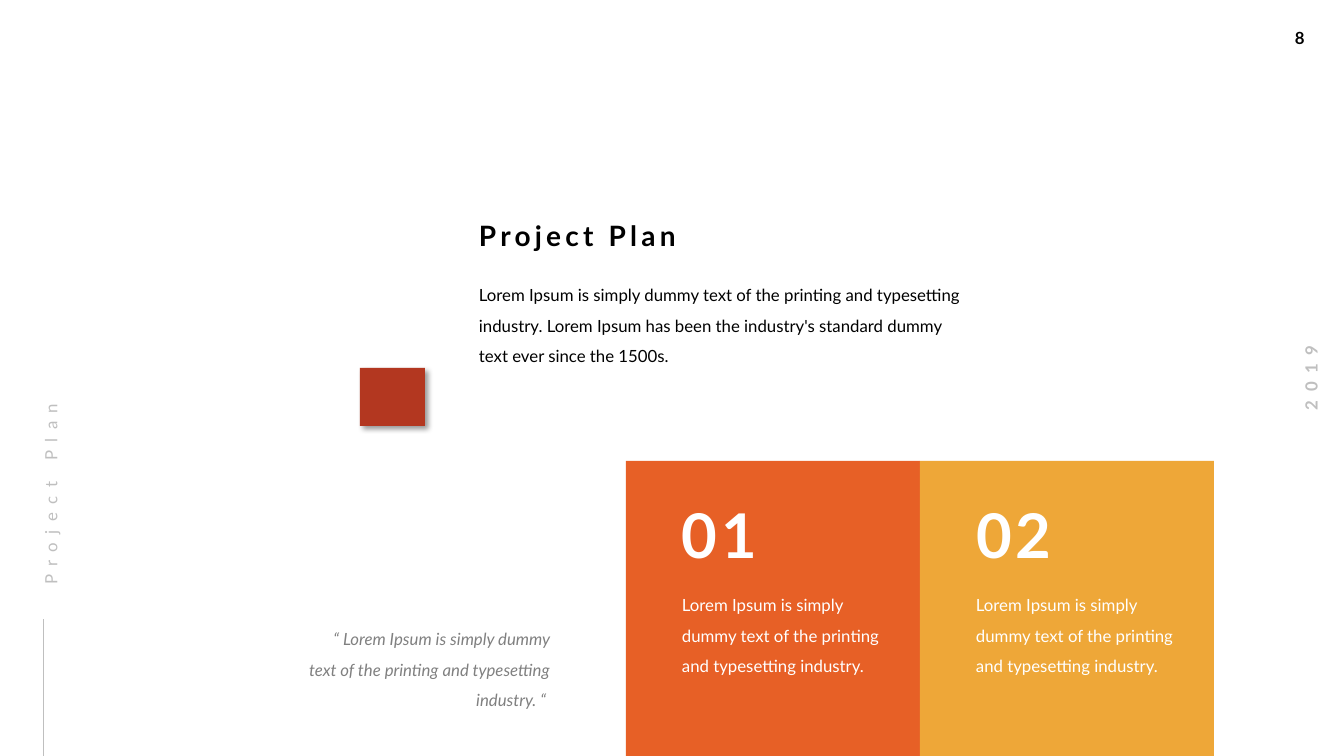
from lxml import etree
from pptx import Presentation
from pptx.dml.color import RGBColor
from pptx.enum.shapes import MSO_CONNECTOR, MSO_SHAPE
from pptx.enum.text import MSO_AUTO_SIZE, PP_ALIGN
from pptx.oxml.ns import qn
from pptx.util import Emu, Pt

LEFT, CENTER, RIGHT = PP_ALIGN.LEFT, PP_ALIGN.CENTER, PP_ALIGN.RIGHT
RECTANGLE = MSO_SHAPE.RECTANGLE
STRAIGHT = MSO_CONNECTOR.STRAIGHT
GROW = MSO_AUTO_SIZE.SHAPE_TO_FIT_TEXT

PX = 914400 / 100.8  # EMU in one pixel
BLACK, WHITE, SILVER, GRAY = "000000", "FFFFFF", "BFBFBF", "808080"
ORANGE, AMBER, RED = "E76026", "EEA738", "B33720"

presentation = Presentation()
presentation.slide_width = Emu(round(1344 * PX))
presentation.slide_height = Emu(round(756 * PX))
slide = presentation.slides.add_slide(presentation.slide_layouts[6])


def add_text(box, text, color, size=12, bold=False, italic=False, spacing=0,
             align=LEFT, leading=1, rotation=0, inset=True, wrap=True):
    shape = slide.shapes.add_textbox(*[Emu(round(value * PX)) for value in box])
    shape.rotation = rotation
    frame = shape.text_frame
    frame.word_wrap = wrap
    frame.auto_size = GROW
    if not inset:
        frame.margin_left = frame.margin_top = frame.margin_bottom = 0
    paragraph = frame.paragraphs[0]
    paragraph.alignment = align
    paragraph.line_spacing = leading
    run = paragraph.add_run()
    run.text = text
    run.font.name = "Lato"
    run.font.size = Pt(size)
    run.font.bold = bold
    run.font.italic = italic
    run.font.color.rgb = RGBColor.from_string(color)
    if spacing:
        run.font._element.set("spc", str(spacing * 100))


def add_rectangle(box, color):
    shape = slide.shapes.add_shape(RECTANGLE, *[Emu(round(value * PX)) for value in box])
    shape.fill.solid()
    shape.fill.fore_color.rgb = RGBColor.from_string(color)
    shape.line.fill.background()
    shape.shadow.inherit = False
    return shape


# Page number and year
add_text((1285, 23, 41, 30), "8", BLACK, bold=True, wrap=False)
add_text((1264, 363, 94, 30), "2019", SILVER, bold=True, spacing=6,
         align=CENTER, rotation=270, wrap=False)

# Heading and introduction
add_text((479, 219, 353, 34), "Project Plan", BLACK, size=20, bold=True,
         spacing=3, inset=False)
add_text((479, 275, 496, 88),
         "Lorem Ipsum is simply dummy text of the printing and typesetting industry. "
         "Lorem Ipsum has been the industry's standard dummy text ever since the 1500s.",
         BLACK, leading=1.5, inset=False)

# Side label with its rule
rule_x = Emu(round(43 * PX))
rule = slide.shapes.add_connector(STRAIGHT, rule_x, Emu(round(756 * PX)),
                                  rule_x, Emu(round(619 * PX)))
rule.line.color.rgb = RGBColor.from_string(SILVER)
rule.line.width = Pt(0.5)
etree.SubElement(rule._element.spPr, qn("a:effectLst"))
add_text((-60, 468, 207, 26), "Project Plan", SILVER, spacing=6, leading=1.5,
         rotation=270, inset=False)

# Numbered panels
for index, (number, color) in enumerate([("01", ORANGE), ("02", AMBER)]):
    shift = 294 * index
    add_rectangle((626 + shift, 461, 294, 295), color)
    add_text((682 + shift, 497, 106, 74), number, WHITE, size=44, bold=True,
             spacing=3, inset=False)
    add_text((682 + shift, 585, 224, 88),
             "Lorem Ipsum is simply dummy text of the printing and typesetting industry.",
             WHITE, leading=1.5, inset=False)

# Quote
add_text((305, 619, 255, 88),
         "“ Lorem Ipsum is simply dummy text of the printing and typesetting industry. “ ",
         GRAY, italic=True, align=RIGHT, leading=1.5, inset=False)

# Red square with a soft shadow
square = add_rectangle((360, 368, 65, 58), RED)
effects = square._element.spPr.find(qn("a:effectLst"))
shadow = etree.SubElement(effects, qn("a:outerShdw"), blurRad=str(Pt(4)),
                          dist=str(Pt(3)), dir=str(45 * 60000), algn="tl",
                          rotWithShape="0")
shadow_color = etree.SubElement(shadow, qn("a:srgbClr"), val=BLACK)
etree.SubElement(shadow_color, qn("a:alpha"), val="40000")

presentation.save("out.pptx")
